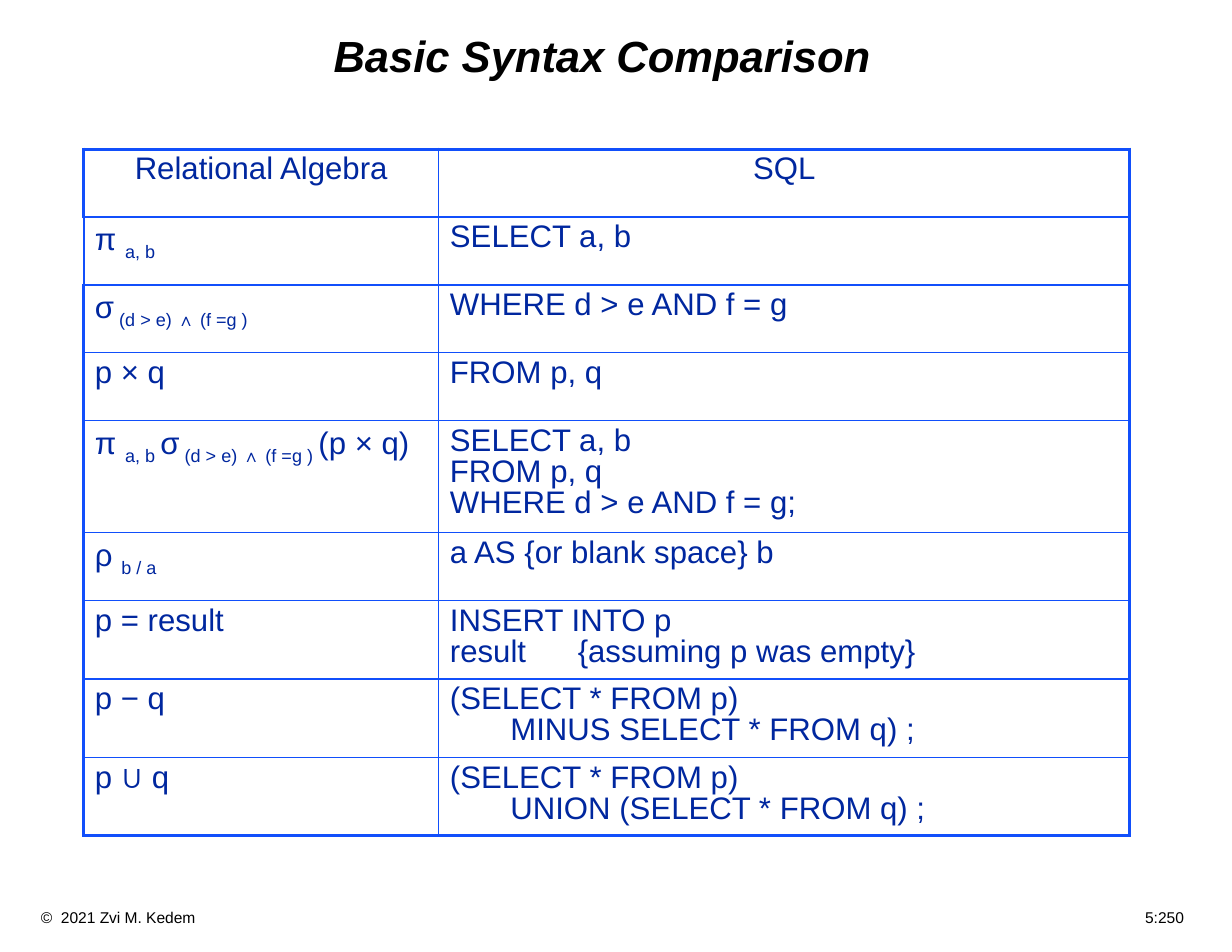
from dataclasses import dataclass

from lxml.etree import SubElement
from pptx import Presentation
from pptx.dml.color import RGBColor
from pptx.enum.text import MSO_ANCHOR as Anchor, PP_ALIGN as Align
from pptx.oxml.ns import qn
from pptx.util import Cm, Pt


@dataclass(frozen=True)
class Theme:
    font: str = "Arial"
    black: str = "000000"
    ink: str = "00279F"
    rule: str = "114FFB"
    title_size: int = 28
    table_size: int = 20
    footer_size: int = 10
    thin: float = 1
    medium: float = 1.5
    thick: float = 2.25
    subscript: int = -25000
    space_before: int = 30000


THEME = Theme()

HEADERS = ("Relational Algebra", "SQL")
# Algebra is split so that every second piece is a subscript.
COMPARISONS = [
    (("π ", "a, b"), "SELECT a, b"),
    (("σ", " (d > e) ∧ (f =g )"), "WHERE d > e AND f = g"),
    (("p × q",), "FROM p, q"),
    (("π ", "a, b ", "σ", " (d > e) ∧ (f =g ) ", "(p × q)"),
     "SELECT a, b\nFROM p, q\nWHERE d > e AND f = g;"),
    (("ρ ", "b / a"), "a AS {or blank space} b"),
    (("p = result",), "INSERT INTO p\nresult\t{assuming p was empty}"),
    (("p − q",), "(SELECT * FROM p)\n\tMINUS SELECT * FROM q) ;"),
    (("p ∪ q",), "(SELECT * FROM p)\n\tUNION (SELECT * FROM q) ;"),
]
COLUMN_WIDTHS = (8.05, 15.67)
ROW_HEIGHTS = {1: 1.54, 2: 1.67, 3: 2.38}  # by number of text lines
SQL_TABS = ((1.37, "l"), (2.9, "l"))


def set_attributes(target, values):
    for name, value in values.items():
        setattr(target, name, value)


def add_text(paragraph, text, size, color, **font_values):
    """Add text to a paragraph, with line breaks where it has newlines."""
    runs = []
    for number, line in enumerate(text.split("\n")):
        if number:
            paragraph.add_line_break()
        run = paragraph.add_run()
        run.text = line
        set_attributes(run.font, {"name": THEME.font, "size": Pt(size), **font_values})
        run.font.color.rgb = RGBColor.from_string(color)
        runs.append(run)
    return runs


def add_tab_stops(paragraph, stops):
    tab_list = SubElement(paragraph._p.get_or_add_pPr(), qn("a:tabLst"))
    for position, alignment in stops:
        SubElement(tab_list, qn("a:tab"), pos=str(Cm(position)), algn=alignment)


def add_text_box(slide, box, frame_values):
    shape = slide.shapes.add_textbox(*(Cm(length) for length in box))
    set_attributes(shape.text_frame, {"word_wrap": True, **frame_values})
    return shape.text_frame.paragraphs[0]


def add_title(slide, box, text):
    paragraph = add_text_box(slide, box, {
        "vertical_anchor": Anchor.TOP, "margin_top": Cm(0.15)})
    set_attributes(paragraph, {"alignment": Align.CENTER, "line_spacing": 0.9})
    add_text(paragraph, text, THEME.title_size, THEME.black, bold=True, italic=True)


def add_footer(slide, box, credit, page):
    margin = 0.93
    paragraph = add_text_box(slide, box, {"margin_left": Cm(margin), "margin_right": 0})
    add_tab_stops(paragraph, [(box[2] - 2 * margin - 0.16, "r")])
    add_text(paragraph, f"{credit}\t{page}", THEME.footer_size, THEME.black)


def set_borders(cell, widths):
    properties = cell._tc.get_or_add_tcPr()
    for side in "LRTB":
        line = SubElement(properties, qn(f"a:ln{side}"), w=str(Pt(widths[side])))
        fill = SubElement(line, qn("a:solidFill"))
        SubElement(fill, qn("a:srgbClr"), val=THEME.rule)
    cell.fill.background()


def border_widths(row, column, last_row):
    """Thick frame, thin grid, medium rule under the header."""
    widths = dict.fromkeys("LRTB", THEME.thin)
    widths["R" if column else "L"] = THEME.thick
    if row == 0:
        widths.update(T=THEME.thick, B=THEME.medium)
    if row == 1:
        widths["T"] = THEME.medium
        if column == 0:
            widths["L"] = THEME.medium
    if row == last_row:
        widths["B"] = THEME.thick
    return widths


def fill_cell(cell, pieces, alignment=None, tabs=()):
    paragraph = cell.text_frame.paragraphs[0]
    set_attributes(paragraph, {"alignment": alignment, "line_spacing": 0.9})
    spacing = SubElement(paragraph._p.get_or_add_pPr(), qn("a:spcBef"))
    SubElement(spacing, qn("a:spcPct"), val=str(THEME.space_before))
    if tabs:
        add_tab_stops(paragraph, tabs)
    for number, piece in enumerate(pieces):
        for run in add_text(paragraph, piece, THEME.table_size, THEME.ink):
            if number % 2:
                run._r.get_or_add_rPr().set("baseline", str(THEME.subscript))


def add_comparison_table(slide, box):
    rows = [((HEADERS[0],), HEADERS[1])] + COMPARISONS
    table = slide.shapes.add_table(
        len(rows), len(COLUMN_WIDTHS), *(Cm(length) for length in box)).table
    set_attributes(table, {"first_row": False, "horz_banding": False})
    for column, width in zip(table.columns, COLUMN_WIDTHS):
        column.width = Cm(width)
    for row, (algebra, sql) in enumerate(rows):
        table.rows[row].height = Cm(ROW_HEIGHTS[sql.count("\n") + 1])
        alignment = Align.CENTER if row == 0 else None
        fill_cell(table.cell(row, 0), algebra, alignment)
        fill_cell(table.cell(row, 1), (sql,), alignment, SQL_TABS if "\t" in sql else ())
        for column in range(len(COLUMN_WIDTHS)):
            set_borders(table.cell(row, column), border_widths(row, column, len(rows) - 1))


def main():
    presentation = Presentation()
    set_attributes(presentation, {"slide_width": Cm(27.94), "slide_height": Cm(21.59)})
    slide = presentation.slides.add_slide(presentation.slide_layouts[6])

    # Footer, title, then the table (left, top, width, height in cm)
    add_footer(slide, (0, 20.47, 27.94, 0.69), "©  2021 Zvi M. Kedem", "5:250")
    add_title(slide, (1.9, 0.64, 23.5, 2.34), "Basic Syntax Comparison")
    add_comparison_table(slide, (1.9, 3.38, sum(COLUMN_WIDTHS), 15.8))

    presentation.save("out.pptx")


if __name__ == "__main__":
    main()
